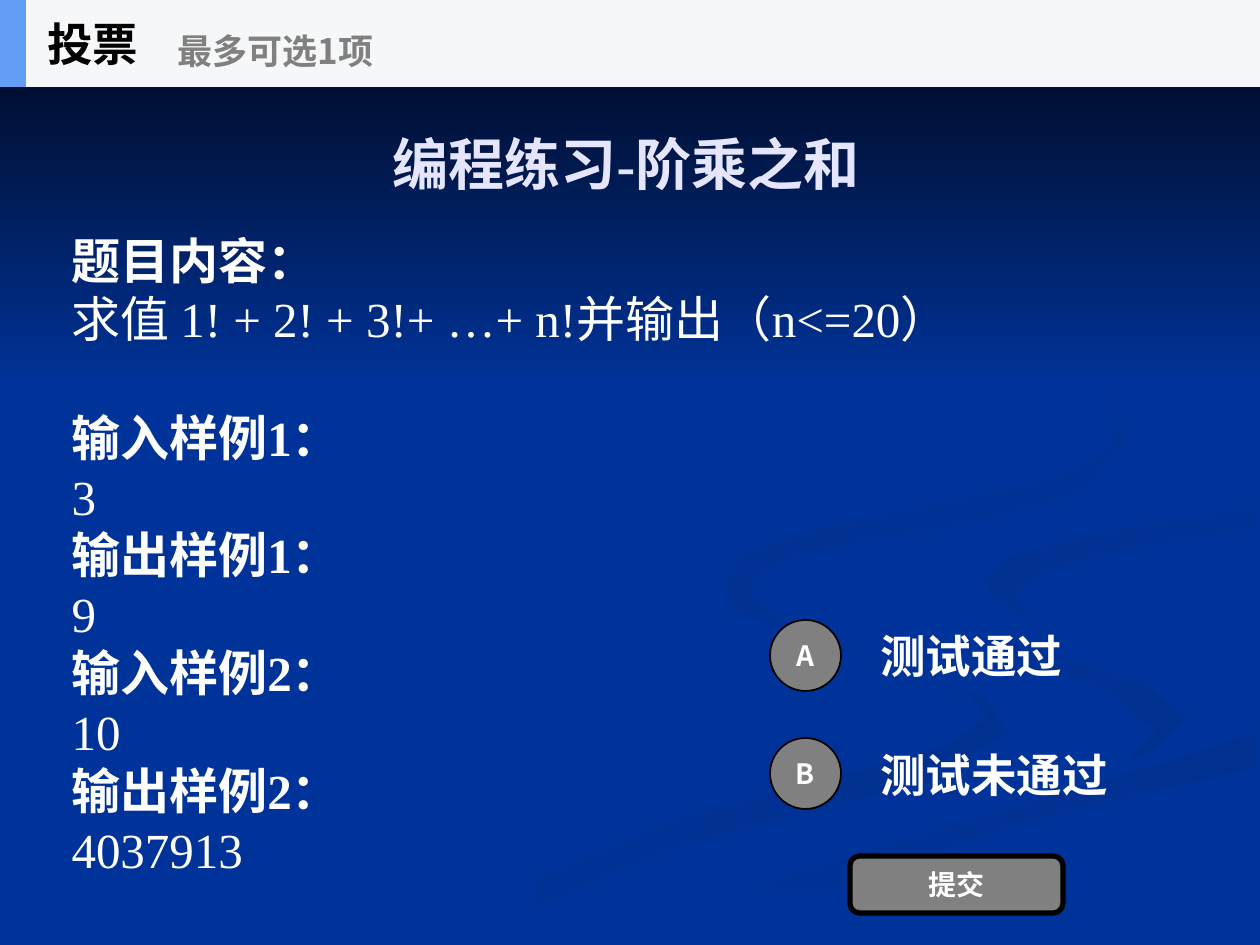
from lxml import etree
from pptx import Presentation
from pptx import util as u
from pptx.dml.color import RGBColor
from pptx.enum import shapes, text
from pptx.oxml.ns import qn

BLUE = RGBColor(0x00, 0x33, 0x99)
SHADE = RGBColor(0x00, 0x30, 0x90)
NIGHT = RGBColor(0x00, 0x05, 0x14)
LAVENDER = RGBColor(0xE5, 0xE5, 0xFF)
WHITE = RGBColor(0xFF, 0xFF, 0xFF)
BLACK = RGBColor(0x00, 0x00, 0x00)
GRAY = RGBColor(0x80, 0x80, 0x80)
HEADER = RGBColor(0xF6, 0xF7, 0xF8)
ACCENT = RGBColor(0x63, 0x9E, 0xF4)

SANS = "Noto Sans CJK SC"
SERIF = "Times New Roman"
PX = 914400 / 126


def px(*lengths):
    """Turn px into EMU."""
    return [u.Emu(round(length * PX)) for length in lengths]


def style(paragraph, size, color, font_name=SANS, bold=True):
    font = paragraph.font
    font.size, font.bold, font.name = u.Pt(size), bold, font_name
    font.color.rgb = color
    east_asian = etree.SubElement(paragraph._p.pPr.find(qn("a:defRPr")), qn("a:ea"))
    east_asian.set("typeface", SANS)


prs = Presentation()
prs.slide_width, prs.slide_height = px(1260, 945)
slide = prs.slides.add_slide(prs.slide_layouts[1])
slide.background.fill.solid()
slide.background.fill.fore_color.rgb = BLUE

# Ribbons behind the content: first colour, last colour, clockwise angle, outline
ribbons = [
    (BLUE, SHADE, 0, [
        (984, 697), (809, 639), (725, 578), (732, 610), (970, 694), (989, 718), (944, 748),
        (679, 818), (378, 944), (455, 944), (670, 849), (932, 779), (1008, 732)]),
    (BLUE, SHADE, 45, [
        (1188, 718), (1140, 680), (955, 627), (912, 585), (931, 622), (1109, 692),
        (1157, 732), (1126, 762), (1174, 742)]),
    (SHADE, BLUE, 90, [
        (634, 944), (719, 944), (876, 872), (1034, 820), (1257, 767), (1257, 732),
        (1179, 759), (963, 815), (794, 873)]),
    (BLUE, BLUE, 0, [
        (913, 585), (956, 627), (1140, 680), (1188, 718), (1148, 756), (887, 825), (601, 944),
        (794, 873), (1259, 732), (1259, 678), (1029, 620), (984, 583), (1090, 534),
        (1259, 507), (1259, 488), (970, 538)]),
    (SHADE, BLUE, 45, [
        (984, 580), (997, 602), (1041, 625), (1014, 595), (1043, 571), (1129, 548),
        (1257, 529), (1257, 507), (1090, 534), (1007, 557)]),
    (SHADE, BLUE, 45, [
        (861, 542), (990, 519), (1077, 493), (1120, 456), (1126, 433), (1109, 387), (960, 294),
        (1096, 377), (1120, 422), (1104, 454), (1046, 481), (803, 532), (742, 556), (727, 582),
        (743, 610), (784, 630), (752, 605), (751, 581), (786, 559)]),
    (NIGHT, BLUE, 90, [(0, 0), (0, 388), (1260, 388), (1260, 0)]),
]
for first, last, angle, outline in ribbons:
    builder = slide.shapes.build_freeform(*outline[0], scale=PX)
    builder.add_line_segments(outline[1:], close=True)
    ribbon = builder.convert_to_shape()
    ribbon.shadow.inherit = False
    ribbon.line.fill.background()
    if first == last:
        ribbon.fill.solid()
        ribbon.fill.fore_color.rgb = first
        continue
    ribbon.fill.gradient()
    ribbon.fill.gradient_angle = (360 - angle) % 360
    for stop, color in zip(ribbon.fill.gradient_stops, (first, last)):
        stop.color.rgb = color

# Exercise text and title, brought in front of the ribbons
title, exercise = slide.shapes.title, slide.placeholders[1]
for holder, box in ((exercise, (59, 195, 1164, 718)), (title, (59, 123, 1134, 83))):
    slide.shapes._spTree.append(holder._element)
    holder.left, holder.top, holder.width, holder.height = px(*box)
    holder.text_frame.auto_size = text.MSO_AUTO_SIZE.NONE

title.text_frame.text = "编程练习-阶乘之和"
title.text_frame.vertical_anchor = text.MSO_ANCHOR.TOP
title.text_frame.paragraphs[0].alignment = text.PP_ALIGN.CENTER
style(title.text_frame.paragraphs[0], 32, LAVENDER, SERIF)

sections = [
    ("题目内容：", "求值 1! + 2! + 3!+ …+ n!并输出（n<=20）"),
    ("输入样例1：", "3"),
    ("输出样例1：", "9"),
    ("输入样例2：", "10"),
    ("输出样例2：", "4037913"),
]
exercise.text_frame.text = "\n".join(line for section in sections for line in section)
exercise.text_frame.vertical_anchor = text.MSO_ANCHOR.MIDDLE
for number, line in enumerate(exercise.text_frame.paragraphs):
    line.space_before = u.Pt(34 if number == 2 else 0)
    properties = line._p.get_or_add_pPr()
    properties.set("marL", "0")
    properties.set("indent", "0")
    etree.SubElement(properties, qn("a:buNone"))
    style(line, 28, WHITE, SERIF, bold=number % 2 == 0)

# Header bar
for width, color in ((1260, HEADER), (26, ACCENT)):
    bar = slide.shapes.add_shape(shapes.MSO_SHAPE.RECTANGLE, *px(0, 0, width, 87))
    bar.shadow.inherit = False
    bar.fill.solid()
    bar.fill.fore_color.rgb = color
    bar.line.fill.background()

# Header wording and answers
labels = [
    ("投票", (35, 0, 262, 87), 26, BLACK),
    ("最多可选1项", (165, 15, 315, 71), 20, GRAY),
    ("测试通过", (868, 611, 294, 88), 26, WHITE),
    ("测试未通过", (868, 730, 294, 88), 26, WHITE),
]
for wording, box, size, color in labels:
    label = slide.shapes.add_textbox(*px(*box)).text_frame
    label.word_wrap = True
    label.vertical_anchor = text.MSO_ANCHOR.MIDDLE
    label.text = wording
    style(label.paragraphs[0], size, color)

# Answer buttons and submit button
OVAL, ROUNDED = shapes.MSO_SHAPE.OVAL, shapes.MSO_SHAPE.ROUNDED_RECTANGLE
buttons = [
    ("A", OVAL, (770, 620, 71, 71), 1),
    ("B", OVAL, (770, 738, 71, 71), 1),
    ("提交", ROUNDED, (850, 856, 213, 57), 3),
]
for wording, preset, box, line_width in buttons:
    button = slide.shapes.add_shape(preset, *px(*box))
    button.shadow.inherit = False
    button.fill.solid()
    button.fill.fore_color.rgb = GRAY
    button.line.color.rgb = BLACK
    button.line.width = u.Pt(line_width)
    button.text_frame.text = wording
    button.text_frame.vertical_anchor = text.MSO_ANCHOR.MIDDLE
    button.text_frame.paragraphs[0].alignment = text.PP_ALIGN.CENTER
    style(button.text_frame.paragraphs[0], 16, WHITE)

prs.save("out.pptx")
